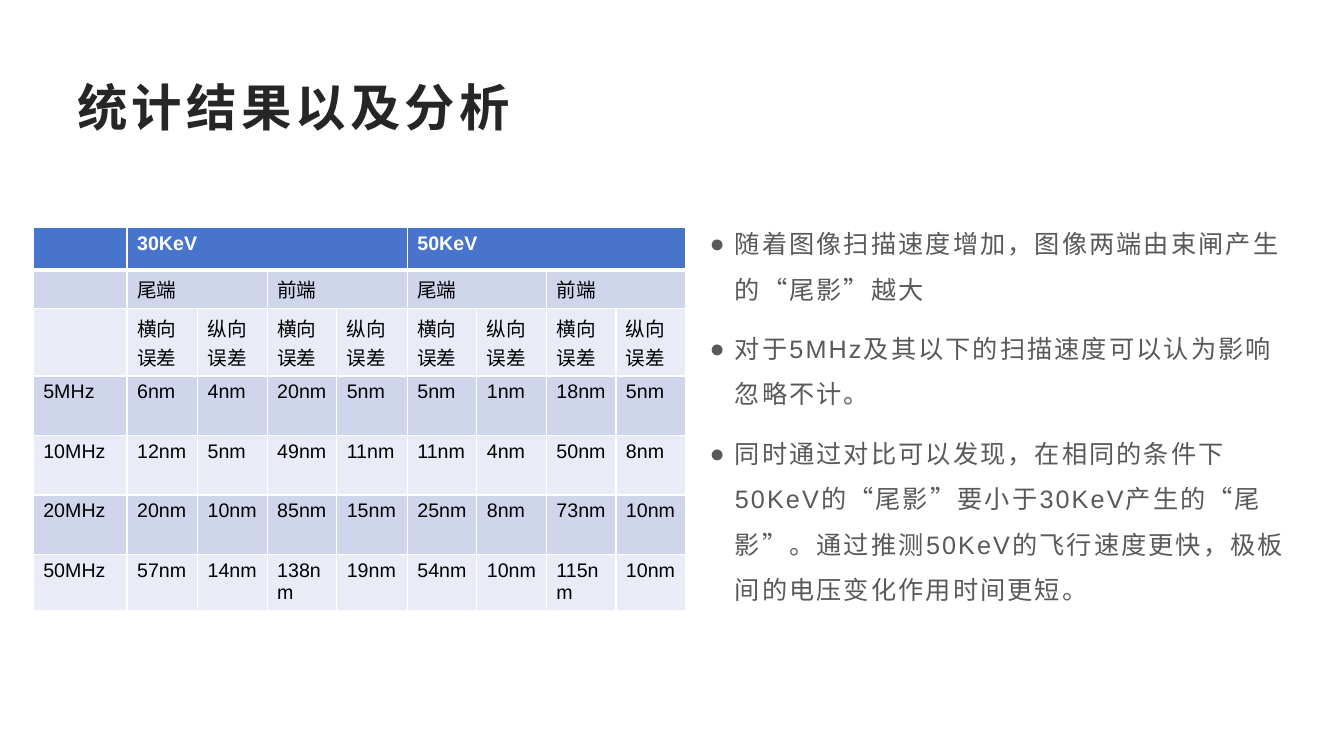
from dataclasses import dataclass

from lxml.etree import SubElement
from pptx import Presentation
from pptx.dml.color import RGBColor
from pptx.enum.text import MSO_ANCHOR
from pptx.oxml.ns import qn
from pptx.util import Inches, Pt

WHITE = RGBColor(0xFF, 0xFF, 0xFF)
BLACK = RGBColor(0x00, 0x00, 0x00)
TITLE_INK = RGBColor(0x26, 0x26, 0x26)
BODY_INK = RGBColor(0x59, 0x59, 0x59)
HEADER_BLUE = RGBColor(0x48, 0x74, 0xCB)
BANDS = (RGBColor(0xE9, 0xEB, 0xF6), RGBColor(0xCF, 0xD6, 0xEC))

COLUMN_WIDTHS = [0.93, 0.7, 0.69, 0.69, 0.7] + [0.69] * 4
ROW_HEIGHTS = [0.42, 0.34, 0.56, 0.59, 0.59, 0.59, 0.56]
ERRORS_NM = {
    "5MHz": (6, 4, 20, 5, 5, 1, 18, 5),
    "10MHz": (12, 5, 49, 11, 11, 4, 50, 8),
    "20MHz": (20, 10, 85, 15, 25, 8, 73, 10),
    "50MHz": (57, 14, 138, 19, 54, 10, 115, 10),
}
ROWS = [
    ["", "30KeV", "", "", "", "50KeV", "", "", ""],
    [""] + ["尾端", "", "前端", ""] * 2,
    [""] + ["横向误差", "纵向误差"] * 4,
] + [[speed] + [f"{nm}nm" for nm in errors] for speed, errors in ERRORS_NM.items()]
MERGES = {0: 4, 1: 2}  # header row -> columns per group


@dataclass
class TextStyle:
    size: float
    color: RGBColor
    bold: bool = False
    spacing: float = 0


@dataclass
class TextBlock:
    left: float
    top: float
    width: float
    height: float
    paragraphs: list[str]
    style: TextStyle
    anchor: MSO_ANCHOR = MSO_ANCHOR.TOP
    bulleted: bool = False


BLOCKS = [
    TextBlock(0.67, 0.67, 12, 0.77, ["统计结果以及分析"],
              TextStyle(36, TITLE_INK, True, 3), MSO_ANCHOR.MIDDLE),
    TextBlock(6.94, 2.07, 5.92, 5.2, [
        "随着图像扫描速度增加，图像两端由束闸产生的“尾影”越大",
        "对于5MHz及其以下的扫描速度可以认为影响忽略不计。",
        "同时通过对比可以发现，在相同的条件下50KeV的“尾影”要小于30KeV产生的“尾影”。"
        "通过推测50KeV的飞行速度更快，极板间的电压变化作用时间更短。",
    ], TextStyle(18, BODY_INK, spacing=1.5), bulleted=True),
]


def add_run(p, text: str, style: TextStyle) -> None:
    r = p.add_run()
    r.text = text
    for name, value in {"name": "Arial", "size": Pt(style.size), "bold": style.bold}.items():
        setattr(r.font, name, value)
    r.font.color.rgb = style.color
    if style.spacing:
        r.font._element.set("spc", str(int(style.spacing * 100)))


def add_bullet(p) -> None:
    p.line_spacing = 1.5
    p.space_after = Pt(10)
    pPr = p._p.get_or_add_pPr()
    pPr.set("marL", str(Inches(0.25)))
    pPr.set("indent", str(-Inches(0.25)))
    SubElement(pPr, qn("a:buFont"), typeface="Arial")
    SubElement(pPr, qn("a:buChar"), char="●")


def add_text_block(slide, block: TextBlock) -> None:
    box = (block.left, block.top, block.width, block.height)
    tf = slide.shapes.add_textbox(*map(Inches, box)).text_frame
    tf.word_wrap = True
    tf.vertical_anchor = block.anchor
    for i, text in enumerate(block.paragraphs):
        p = tf.add_paragraph() if i else tf.paragraphs[0]
        if block.bulleted:
            add_bullet(p)
        add_run(p, text, block.style)


def add_borders(cell, top: float, bottom: float) -> None:
    tcPr = cell._tc.get_or_add_tcPr()
    for side, width in {"L": 1, "R": 1, "T": top, "B": bottom}.items():
        line = SubElement(tcPr, qn(f"a:ln{side}"), w=str(Pt(width)))
        SubElement(SubElement(line, qn("a:solidFill")), qn("a:srgbClr"), val=str(WHITE))


def add_error_table(slide) -> None:
    table = slide.shapes.add_table(
        len(ROWS), len(COLUMN_WIDTHS), Inches(0.33), Inches(2.26),
        Inches(sum(COLUMN_WIDTHS)), Inches(sum(ROW_HEIGHTS))).table
    for column, width in zip(table.columns, COLUMN_WIDTHS):
        column.width = Inches(width)
    for row, height in zip(table.rows, ROW_HEIGHTS):
        row.height = Inches(height)

    for i, texts in enumerate(ROWS):
        header = i == 0
        style = TextStyle(14, WHITE if header else BLACK, header)
        for j, text in enumerate(texts):
            cell = table.cell(i, j)
            add_borders(cell, top=3 if i == 1 else 1, bottom=3 if header else 1)
            cell.fill.solid()
            cell.fill.fore_color.rgb = HEADER_BLUE if header else BANDS[i % 2]
            p = cell.text_frame.paragraphs[0]
            if text:
                add_run(p, text, style)
            else:
                SubElement(p._p, qn("a:endParaRPr"), sz="1400")

    for i, span in MERGES.items():
        for j in range(1, len(COLUMN_WIDTHS), span):
            table.cell(i, j).merge(table.cell(i, j + span - 1))


def main() -> None:
    prs = Presentation()
    prs.slide_width, prs.slide_height = Inches(13.33), Inches(7.5)
    slide = prs.slides.add_slide(prs.slide_layouts[6])
    add_error_table(slide)
    for block in BLOCKS:
        add_text_block(slide, block)
    prs.save("out.pptx")


if __name__ == "__main__":
    main()
